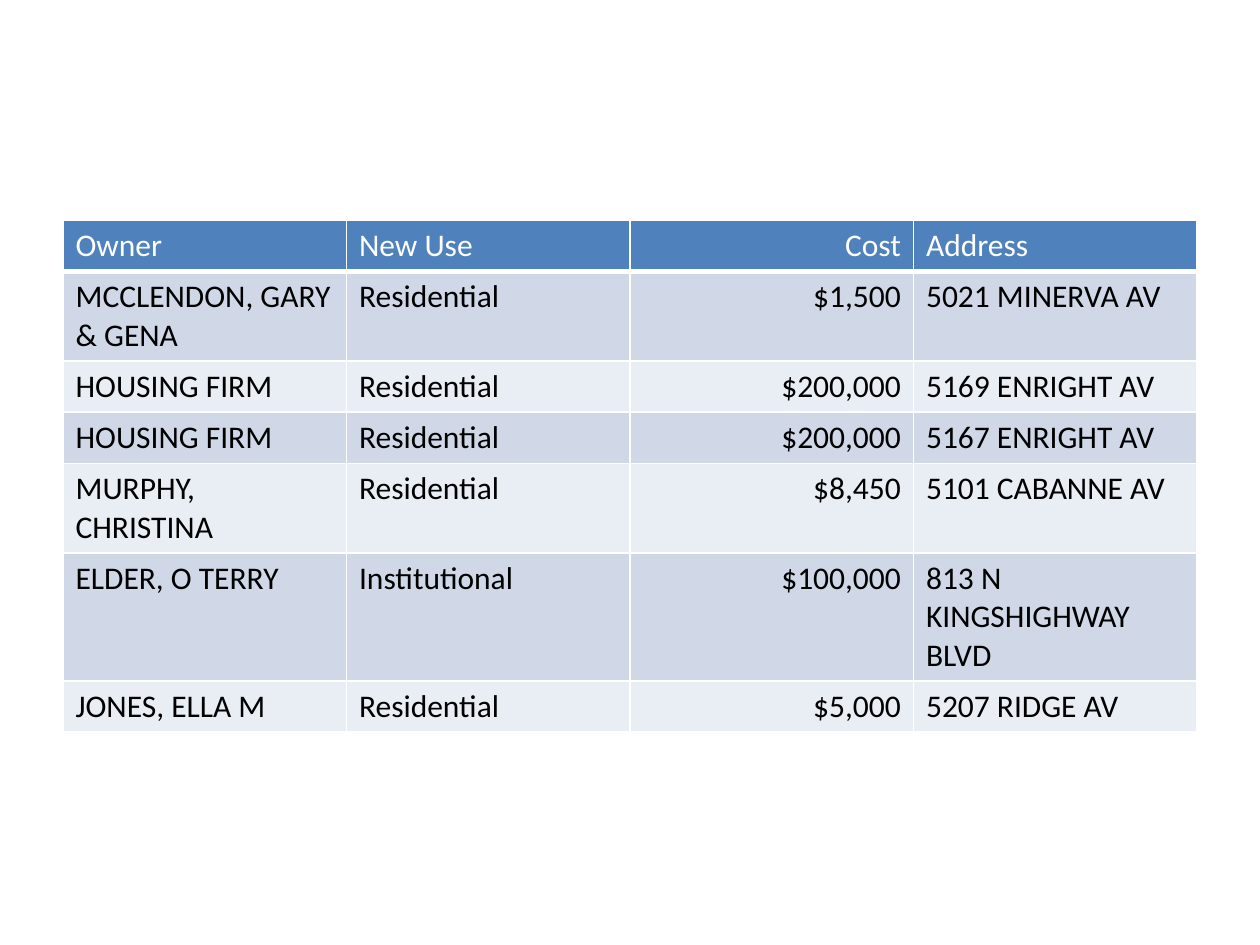
from lxml import etree
from pptx import Presentation
from pptx import util as u
from pptx.dml.color import RGBColor
from pptx.enum import text
from pptx.oxml.ns import qn


def rgb(value):
    return RGBColor.from_string(value)


def add_border(cell, side, points):
    ln = etree.SubElement(cell._tc.get_or_add_tcPr(), qn("a:" + side),
                          w=str(u.Pt(points)))
    fill = etree.SubElement(ln, qn("a:solidFill"))
    etree.SubElement(fill, qn("a:srgbClr"), val="FFFFFF")


prs = Presentation()
prs.slide_width, prs.slide_height = u.Inches(10), u.Inches(7.5)
s = prs.slides.add_slide(prs.slide_layouts[6])

# Permit records, each led by the number of text lines in its row
records = [
    (1, "Owner", "New Use", "Cost", "Address"),
    (2, "MCCLENDON, GARY & GENA", "Residential", "$1,500", "5021 MINERVA AV"),
    (1, "HOUSING FIRM", "Residential", "$200,000", "5169 ENRIGHT AV"),
    (1, "HOUSING FIRM", "Residential", "$200,000", "5167 ENRIGHT AV"),
    (2, "MURPHY, CHRISTINA", "Residential", "$8,450", "5101 CABANNE AV"),
    (3, "ELDER, O TERRY", "Institutional", "$100,000", "813 N KINGSHIGHWAY BLVD"),
    (1, "JONES, ELLA M", "Residential", "$5,000", "5207 RIDGE AV"),
]
LINE, PADDING = 0.305, 0.1
COST = 2
heights = [u.Inches(PADDING + LINE * record[0]) for record in records]

# Table grid: four equal columns across 90% of the slide
width = int(prs.slide_width * 0.9)
table = s.shapes.add_table(len(records), 4, u.Inches(0.5), u.Inches(1.75),
                           width, sum(heights)).table
for col in table.columns:
    col.width = width // 4

# Cells: header, then alternating bands
for i, (_, *values) in enumerate(records):
    table.rows[i].height = heights[i]
    band = "4F81BD" if i == 0 else ("E9EDF4", "D0D8E8")[i % 2]
    font_format = {"name": "Calibri", "size": u.Pt(18), "bold": False}
    for j, value in enumerate(values):
        cell = table.cell(i, j)
        for side in ("lnL", "lnR", "lnT", "lnB"):
            add_border(cell, side, 3 if i == 0 and side == "lnB" else 1)
        cell.fill.solid()
        cell.fill.fore_color.rgb = rgb(band)
        p = cell.text_frame.paragraphs[0]
        p.alignment = text.PP_ALIGN.RIGHT if j == COST else text.PP_ALIGN.LEFT
        r = p.add_run()
        r.text = value
        for name, setting in font_format.items():
            setattr(r.font, name, setting)
        r.font.color.rgb = rgb("FFFFFF" if i == 0 else "000000")

prs.save("out.pptx")
